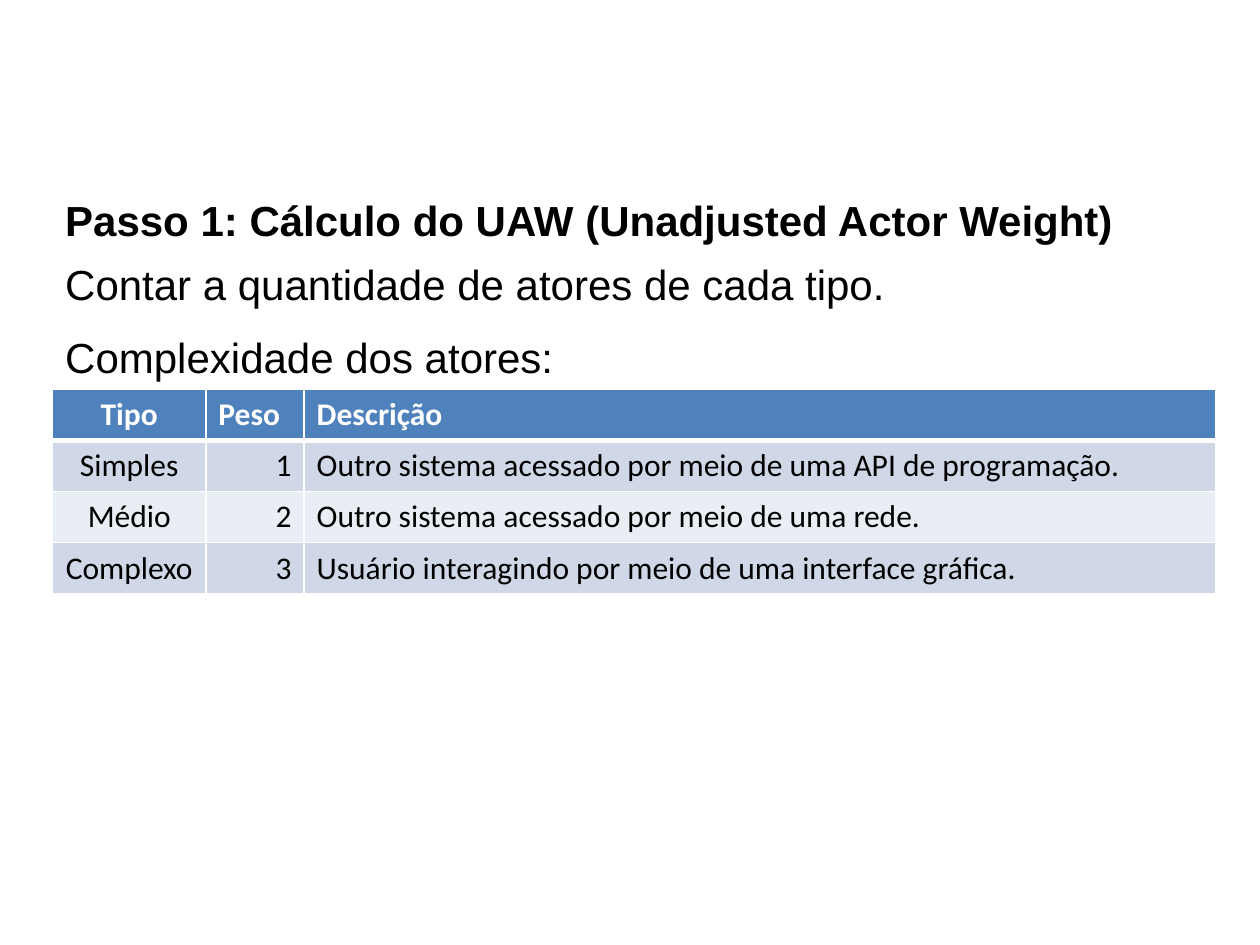
"""Build the slide on the unadjusted actor weight step."""
from dataclasses import dataclass

from lxml import etree
from pptx import Presentation
from pptx import util as u
from pptx.dml.color import RGBColor
from pptx.enum import text as t
from pptx.oxml import ns


@dataclass(frozen=True)
class Theme:
    ink: str = "000000"
    white: str = "FFFFFF"
    head: str = "4F81BD"
    bands: tuple[str, str] = ("D0D8E8", "E9EDF4")
    text: str = "Arial"
    grid: str = "Calibri"
    large: int = 24
    small: int = 18


@dataclass(frozen=True)
class Line:
    words: str
    top: float
    align: t.PP_ALIGN
    after: int = 9
    bold: bool = False


@dataclass(frozen=True)
class Column:
    width: float
    align: t.PP_ALIGN
    title: t.PP_ALIGN


THEME = Theme()
LEFT = 1.06
ROW = 1.03
ALIGN = t.PP_ALIGN
LINES = (
    Line("Passo 1: Cálculo do UAW (Unadjusted Actor Weight)", 3.8, ALIGN.LEFT, 0, True),
    Line("Contar a quantidade de atores de cada tipo.", 5.08, ALIGN.JUSTIFY),
    Line("Complexidade dos atores:", 6.55, ALIGN.JUSTIFY),
)
COLUMNS = (
    Column(3.09, ALIGN.CENTER, ALIGN.CENTER),
    Column(1.98, ALIGN.RIGHT, ALIGN.LEFT),
    Column(18.38, ALIGN.LEFT, ALIGN.LEFT),
)
ROWS = (
    ("Tipo", "Peso", "Descrição"),
    ("Simples", "1", "Outro sistema acessado por meio de uma API de programação."),
    ("Médio", "2", "Outro sistema acessado por meio de uma rede."),
    ("Complexo", "3", "Usuário interagindo por meio de uma interface gráfica."),
)


def add_run(para, words: str, font: str, size: int, ink: str, bold: bool) -> None:
    run = para.add_run()
    run.text = words
    run.font.name = font
    run.font.size = u.Pt(size)
    run.font.bold = bold
    run.font.color.rgb = RGBColor.from_string(ink)


def put_line(shape, line: Line) -> None:
    shape.left, shape.top = u.Cm(LEFT), u.Cm(line.top)
    shape.width, shape.height = u.Cm(23.06), u.Cm(1.28)
    frame = shape.text_frame
    frame.word_wrap = True
    frame.auto_size = t.MSO_AUTO_SIZE.NONE
    frame.vertical_anchor = t.MSO_ANCHOR.TOP
    para = frame.paragraphs[0]
    para.alignment = line.align
    para.space_before, para.space_after = u.Pt(0), u.Pt(line.after)
    props = para._p.get_or_add_pPr()
    props.set("marL", "0")
    props.set("indent", "0")
    etree.SubElement(props, ns.qn("a:buNone"))
    add_run(para, line.words, THEME.text, THEME.large, THEME.ink, line.bold)


def add_edge(cell, side: str, points: int) -> None:
    props = cell._tc.get_or_add_tcPr()
    edge = etree.SubElement(props, ns.qn(f"a:{side}"), w=str(u.Pt(points)))
    fill = etree.SubElement(edge, ns.qn("a:solidFill"))
    etree.SubElement(fill, ns.qn("a:srgbClr"), val=THEME.white)


def put_cell(cell, words: str, row: int, col: Column) -> None:
    head = row == 0
    widths = {"lnL": 1, "lnR": 1, "lnT": 3 if row == 1 else 1, "lnB": 3 if head else 1}
    for side, points in widths.items():
        add_edge(cell, side, points)
    cell.fill.solid()
    shade = THEME.head if head else THEME.bands[(row - 1) % 2]
    cell.fill.fore_color.rgb = RGBColor.from_string(shade)
    para = cell.text_frame.paragraphs[0]
    para.alignment = col.title if head else col.align
    ink = THEME.white if head else THEME.ink
    add_run(para, words, THEME.grid, THEME.small, ink, head)


def add_grid(slide) -> None:
    width = sum(col.width for col in COLUMNS)
    frame = slide.shapes.add_table(len(ROWS), len(COLUMNS), u.Cm(LEFT), u.Cm(7.85),
                                   u.Cm(width), u.Cm(ROW * len(ROWS)))
    table = frame.table
    for index, col in enumerate(COLUMNS):
        table.columns[index].width = u.Cm(col.width)
        for row, words in enumerate(ROWS):
            put_cell(table.cell(row, index), words[index], row, col)


def main() -> None:
    deck = Presentation()
    deck.slide_width, deck.slide_height = u.Cm(25.4), u.Cm(19.05)
    slide = deck.slides.add_slide(deck.slide_layouts.get_by_name("Two Content"))
    for shape, line in zip(slide.placeholders, LINES):
        put_line(shape, line)
    add_grid(slide)
    deck.save("out.pptx")


main()
